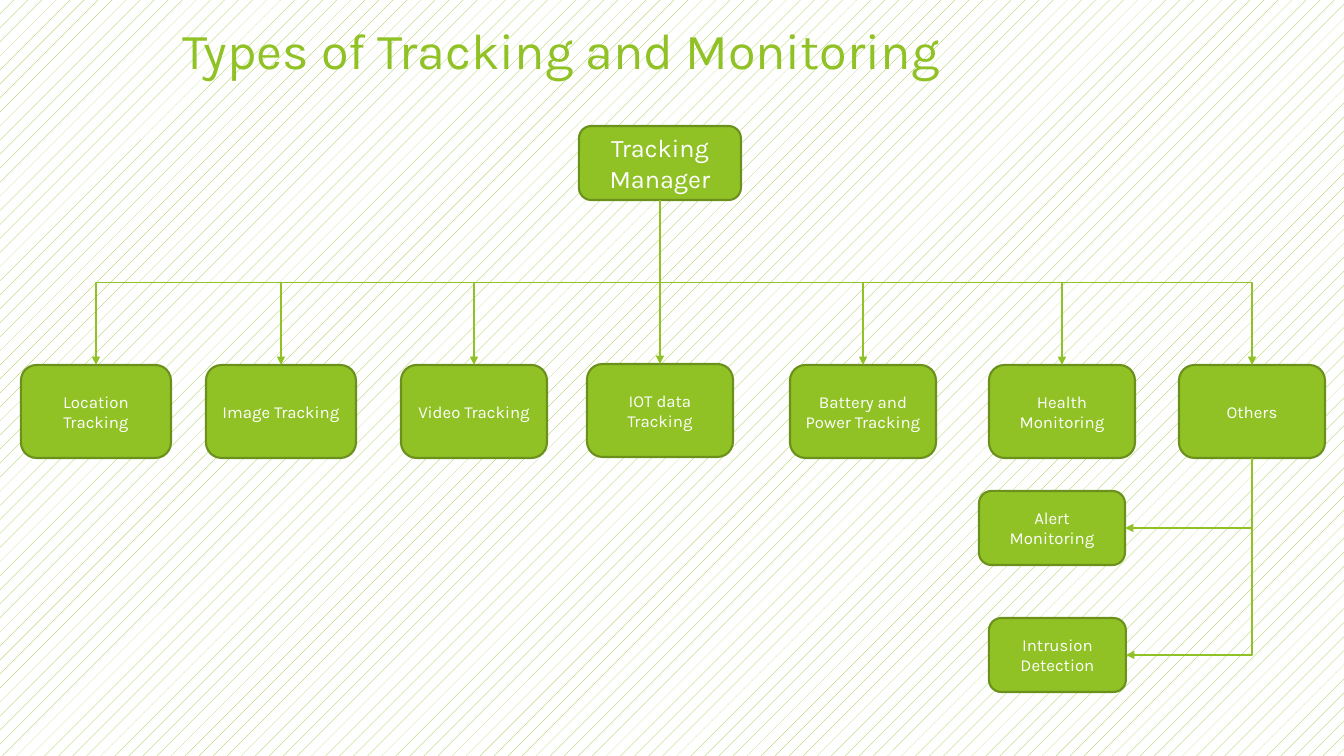
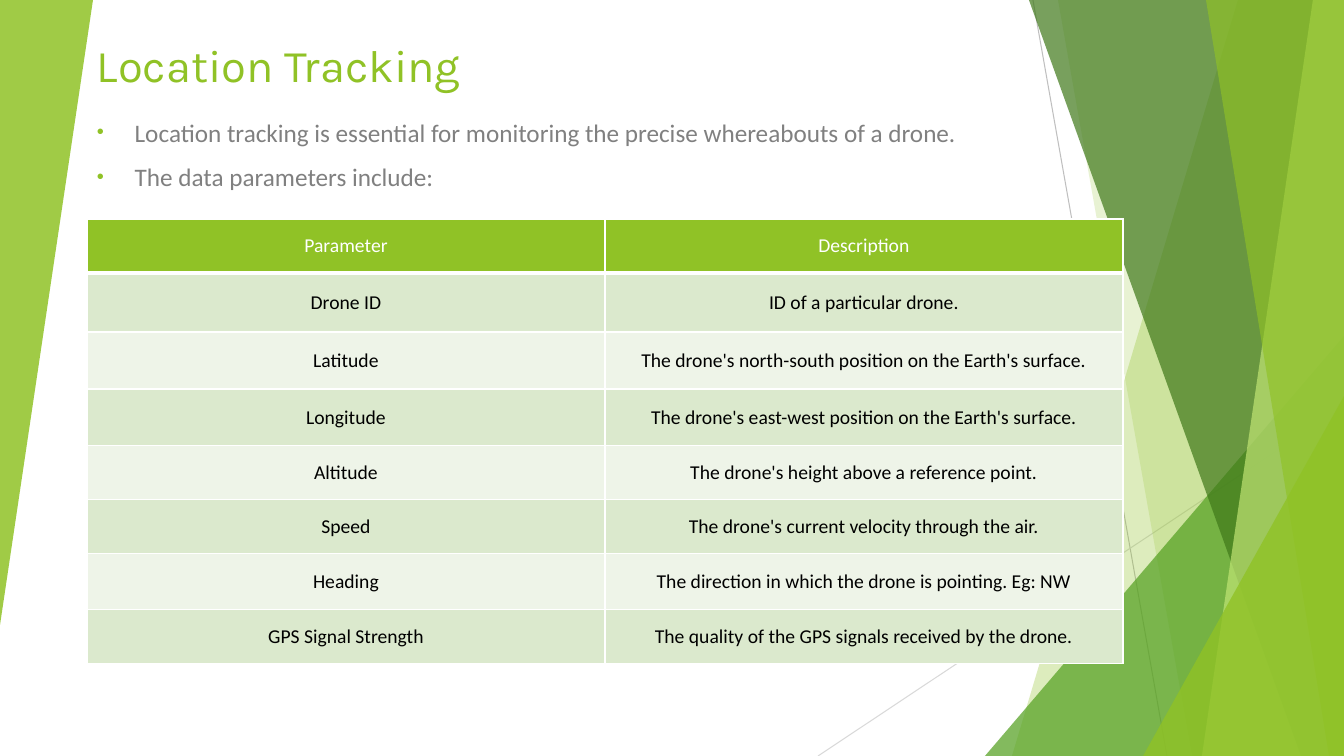
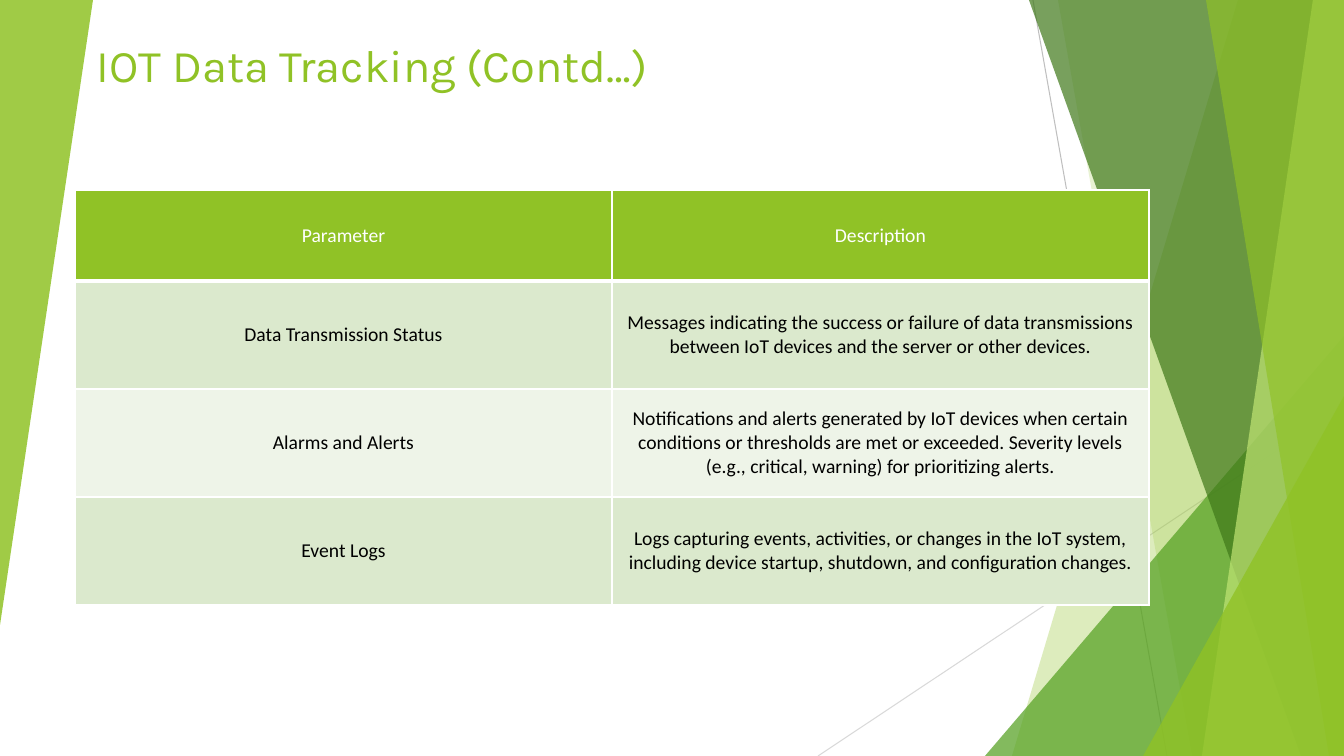
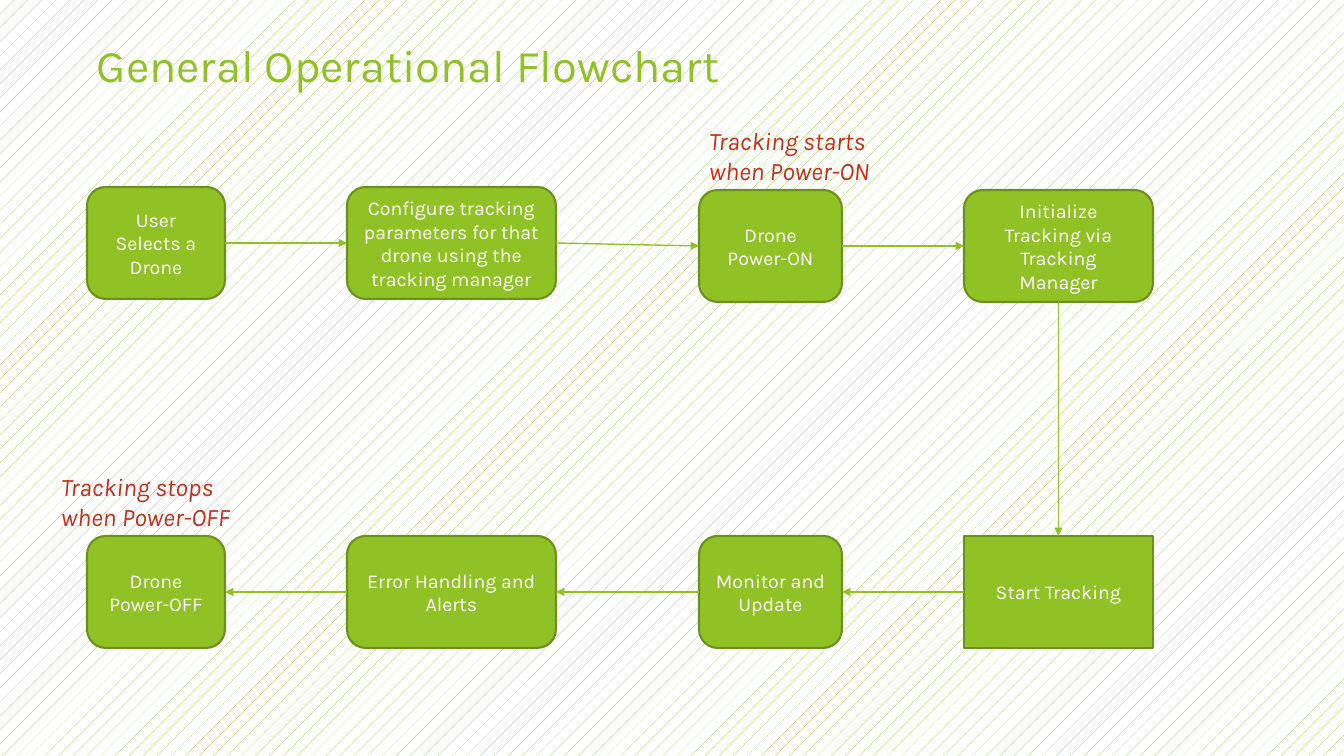
import dataclasses

import pptx
import pptx.dml.color
import pptx.enum.dml
import pptx.enum.shapes
import pptx.enum.text
import pptx.oxml
import pptx.oxml.ns
import pptx.util

SHAPE = pptx.enum.shapes.MSO_SHAPE
CONNECTOR = pptx.enum.shapes.MSO_CONNECTOR
ALIGN = pptx.enum.text.PP_ALIGN
ANCHOR = pptx.enum.text.MSO_ANCHOR
TOP, LEFT, BOTTOM, RIGHT = range(4)
WIDTH, HEIGHT = 1344, 756
qn = pptx.oxml.ns.qn


@dataclasses.dataclass(frozen=True)
class Theme:
    green: str = "90C226"
    edge: str = "6B901C"
    leaf: str = "54A021"
    forest: str = "3F7819"
    lime: str = "C0E474"
    white: str = "FFFFFF"
    black: str = "000000"
    grey: str = "808080"
    rule: str = "BFBFBF"
    faint_rule: str = "D9D9D9"
    red: str = "C42F1A"
    bands: tuple = ("DBE9CD", "EEF4E8")
    heading_font: str = "Karla"
    body_font: str = "Calibri"
    big_title: float = 36
    title: float = 32.4
    body: float = 18
    cell: float = 14
    small: float = 12


def px(n):
    return pptx.util.Emu(round(n * 12192000 / WIDTH))


def rgb(value):
    return pptx.dml.color.RGBColor.from_string(value)


def add_xml(parent, tag, **attrs):
    child = pptx.oxml.parse_xml(f"<a:{tag} {pptx.oxml.ns.nsdecls('a')}/>")
    for name, value in attrs.items():
        child.set(name, str(value))
    parent.append(child)
    return child


class Deck:
    def __init__(self, theme):
        self.theme = theme
        self.prs = pptx.Presentation()
        self.prs.slide_width, self.prs.slide_height = px(WIDTH), px(HEIGHT)
        self.s = None

    def slide(self):
        self.s = self.prs.slides.add_slide(self.prs.slide_layouts[6])

    def patterned_slide(self):
        self.slide()
        fill = self.s.background.fill
        fill.patterned()
        fill.pattern = pptx.enum.dml.MSO_PATTERN.PERCENT_5
        fill.fore_color.rgb = rgb(self.theme.green)
        fill.back_color.rgb = rgb(self.theme.white)

    def faceted_slide(self):
        t = self.theme
        self.slide()
        self.rule(1033, 0, 1167, HEIGHT, t.rule)
        self.rule(WIDTH, 406, 818, HEIGHT, t.faint_rule)
        self.facet(1238, 1012, t.green, 30)
        self.facet(1058, 1192, t.green, 20)
        self.triangle(985, 336, 359, 420, t.leaf, 72)
        self.facet(1029, 1301, t.forest, 70)
        self.facet(1313, 1202, t.lime, 70)
        self.facet(1206, 1329, t.green, 65)
        self.triangle(1143, 396, 201, 360, t.green, 80)
        self.triangle(0, 0, 93, 625, t.green, 85).rotation = 180

    def paint(self, sp, color, opacity=100):
        sp.shadow.inherit = False
        sp.fill.solid()
        sp.fill.fore_color.rgb = rgb(color)
        sp.line.fill.background()
        if opacity < 100:
            clr = sp._element.spPr.find(qn("a:solidFill"))[0]
            add_xml(clr, "alpha", val=opacity * 1000)

    def facet(self, top_x, bottom_x, color, opacity):
        builder = self.s.shapes.build_freeform(px(top_x), 0)
        corners = [(WIDTH, 0), (WIDTH, HEIGHT), (bottom_x, HEIGHT)]
        builder.add_line_segments([(px(x), px(y)) for x, y in corners])
        self.paint(builder.convert_to_shape(), color, opacity)

    def triangle(self, x, y, w, h, color, opacity):
        sp = self.s.shapes.add_shape(SHAPE.ISOSCELES_TRIANGLE, px(x), px(y), px(w), px(h))
        sp.adjustments[0] = 1
        self.paint(sp, color, opacity)
        return sp

    def style(self, p, size, color, font=None, align=ALIGN.LEFT, italic=False):
        p.alignment = align
        p.font.name = font or self.theme.heading_font
        p.font.size = pptx.util.Pt(size)
        p.font.color.rgb = rgb(color)
        p.font.bold = False
        p.font.italic = italic

    def text_frame(self, x, y, w, h, anchor=ANCHOR.TOP):
        tf = self.s.shapes.add_textbox(px(x), px(y), px(w), px(h)).text_frame
        tf.word_wrap = True
        tf.vertical_anchor = anchor
        return tf

    def title(self, text, x=87, y=30, h=67, size=None, align=ALIGN.LEFT):
        p = self.text_frame(x, y, 913, h, ANCHOR.BOTTOM).paragraphs[0]
        p.text = text
        self.style(p, size or self.theme.title, self.theme.green, align=align)

    def note(self, text, x, y, w):
        p = self.text_frame(x, y, w, 72).paragraphs[0]
        p.text = text
        self.style(p, self.theme.body, self.theme.red, italic=True)

    def bullets(self, items, x, y, w, h):
        tf = self.text_frame(x, y, w, h)
        for i, item in enumerate(items):
            p = tf.add_paragraph() if i else tf.paragraphs[0]
            p.text = item
            p.space_before = pptx.util.Pt(10)
            pPr = p._p.get_or_add_pPr()
            pPr.set("marL", "342900")
            pPr.set("indent", "-342900")
            add_xml(add_xml(pPr, "buClr"), "srgbClr", val=self.theme.green)
            add_xml(pPr, "buSzPct", val=80000)
            add_xml(pPr, "buFont", typeface="Arial")
            add_xml(pPr, "buChar", char="•")
            self.style(p, self.theme.body, self.theme.grey, self.theme.body_font)

    def box(self, text, x, y, w, h, size, shape=SHAPE.ROUNDED_RECTANGLE):
        sp = self.s.shapes.add_shape(shape, px(x), px(y), px(w), px(h))
        self.paint(sp, self.theme.green)
        sp.line.color.rgb = rgb(self.theme.edge)
        sp.line.width = pptx.util.Pt(1.5)
        tf = sp.text_frame
        tf.word_wrap = True
        tf.vertical_anchor = ANCHOR.MIDDLE
        p = tf.paragraphs[0]
        p.text = text
        self.style(p, size, self.theme.white, align=ALIGN.CENTER)
        return sp

    def line(self, kind, color, width, ends=(0, 0, 0, 0)):
        c = self.s.shapes.add_connector(kind, *map(px, ends))
        c.line.color.rgb = rgb(color)
        c.line.width = pptx.util.Pt(width)
        add_xml(c._element.spPr, "effectLst")
        return c

    def rule(self, x1, y1, x2, y2, color):
        self.line(CONNECTOR.STRAIGHT, color, 0.75, (x1, y1, x2, y2))

    def arrow(self, start, start_side, end, end_side, kind=CONNECTOR.STRAIGHT):
        c = self.line(kind, self.theme.green, 1)
        c.begin_connect(start, start_side)
        c.end_connect(end, end_side)
        add_xml(c.line._get_or_add_ln(), "tailEnd", type="triangle")
        return c

    def elbow(self, start, end, end_side):
        c = self.arrow(start, BOTTOM, end, end_side, CONNECTOR.ELBOW)
        dx, dy = c.end_x - c.begin_x, c.end_y - c.begin_y
        mid_x, mid_y = c.begin_x + dx // 2, c.begin_y + dy // 2
        c.left, c.top = mid_x - dy // 2, mid_y - abs(dx) // 2
        c.width, c.height = dy, abs(dx)
        spPr = c._element.spPr
        xfrm = spPr.find(qn("a:xfrm"))
        xfrm.set("rot", "16200000" if dx > 0 else "5400000")
        xfrm.set("flipH", "1" if dx > 0 else "0")
        xfrm.set("flipV", "0")
        if end_side == RIGHT:
            spPr.find(qn("a:prstGeom")).set("prst", "bentConnector2")

    def table(self, rows, x, y, col_width, heights):
        t = self.theme
        cols = len(rows[0])
        frame = self.s.shapes.add_table(
            len(rows), cols, px(x), px(y), px(col_width * cols), px(sum(heights)))
        table = frame.table
        for col in table.columns:
            col.width = px(col_width)
        for i, (values, height) in enumerate(zip(rows, heights)):
            table.rows[i].height = px(height)
            fill = t.bands[(i - 1) % 2] if i else t.green
            color = t.black if i else t.white
            widths = {"lnL": 1, "lnR": 1, "lnT": 3 if i == 1 else 1, "lnB": 1 if i else 3}
            for cell, value in zip(table.rows[i].cells, values):
                cell.vertical_anchor = ANCHOR.MIDDLE
                p = cell.text_frame.paragraphs[0]
                p.text = value
                self.style(p, t.cell, color, t.body_font, ALIGN.CENTER)
                tcPr = cell._tc.get_or_add_tcPr()
                for side, width in widths.items():
                    ln = add_xml(tcPr, side, w=pptx.util.Pt(width))
                    add_xml(add_xml(ln, "solidFill"), "srgbClr", val=t.white)
                cell.fill.solid()
                cell.fill.fore_color.rgb = rgb(fill)


def tracking_types(d):
    d.patterned_slide()
    d.title("Types of Tracking and Monitoring", 37, 11, 74, d.theme.big_title, ALIGN.RIGHT)
    manager = d.box("Tracking Manager", 579, 126, 162, 74, d.theme.body)
    kinds = [
        ("Location Tracking", 21, 365, 150),
        ("Image Tracking", 206, 365, 150),
        ("Video Tracking", 401, 365, 146),
        ("IOT data Tracking", 587, 364, 146),
        ("Battery and Power Tracking", 790, 365, 146),
        ("Health Monitoring", 989, 365, 146),
        ("Others", 1179, 365, 146),
    ]
    boxes = [d.box(text, x, y, w, 93, d.theme.small) for text, x, y, w in kinds]
    alert = d.box("Alert Monitoring", 979, 491, 146, 74, d.theme.small)
    intrusion = d.box("Intrusion Detection", 989, 618, 137, 74, d.theme.small)
    for sp in boxes:
        if sp is boxes[3]:
            d.arrow(manager, BOTTOM, sp, TOP)
        else:
            d.elbow(manager, sp, TOP)
    for sp in (alert, intrusion):
        d.elbow(boxes[-1], sp, RIGHT)


def location_tracking(d):
    d.faceted_slide()
    d.title("Location Tracking")
    d.bullets([
        "Location tracking is essential for monitoring the precise whereabouts of a drone.",
        "The data parameters include:",
    ], 87, 112, 913, 100)
    d.table([
        ("Parameter", "Description"),
        ("Drone ID", "ID of a particular drone."),
        ("Latitude", "The drone's north-south position on the Earth's surface."),
        ("Longitude", "The drone's east-west position on the Earth's surface."),
        ("Altitude", "The drone's height above a reference point."),
        ("Speed", "The drone's current velocity through the air."),
        ("Heading", "The direction in which the drone is pointing. Eg: NW"),
        ("GPS Signal Strength", "The quality of the GPS signals received by the drone."),
    ], 87, 219, 518, [54, 59, 57, 57, 54, 54, 56, 54])


def iot_tracking(d):
    d.faceted_slide()
    d.title("IOT Data Tracking (Contd…)")
    d.table([
        ("Parameter", "Description"),
        ("Data Transmission Status",
         "Messages indicating the success or failure of data transmissions "
         "between IoT devices and the server or other devices."),
        ("Alarms and Alerts",
         "Notifications and alerts generated by IoT devices when certain "
         "conditions or thresholds are met or exceeded. Severity levels "
         "(e.g., critical, warning) for prioritizing alerts."),
        ("Event Logs",
         "Logs capturing events, activities, or changes in the IoT system, "
         "including device startup, shutdown, and configuration changes."),
    ], 75, 190, 537, [91, 108, 108, 108])


def flowchart(d):
    d.patterned_slide()
    d.title("General Operational Flowchart")
    columns = [(87, 138), (347, 209), (699, 143), (964, 189)]
    before = [
        ("User Selects a Drone", 187),
        ("Configure tracking parameters for that drone using the tracking manager", 187),
        ("Drone Power-ON", 190),
        ("Initialize Tracking via Tracking Manager", 190),
    ]
    after = [
        ("Drone Power-OFF", SHAPE.ROUNDED_RECTANGLE),
        ("Error Handling and Alerts", SHAPE.ROUNDED_RECTANGLE),
        ("Monitor and Update", SHAPE.ROUNDED_RECTANGLE),
        ("Start Tracking", SHAPE.RECTANGLE),
    ]
    upper = [d.box(text, x, y, w, 112, d.theme.cell)
             for (text, y), (x, w) in zip(before, columns)]
    lower = [d.box(text, x, 536, w, 112, d.theme.cell, shape)
             for (text, shape), (x, w) in zip(after, columns)]
    for start, end in zip(upper, upper[1:]):
        d.arrow(start, RIGHT, end, LEFT)
    d.arrow(upper[-1], BOTTOM, lower[-1], TOP)
    for end, start in zip(lower, lower[1:]):
        d.arrow(start, LEFT, end, RIGHT)
    d.note("Tracking starts when Power-ON", 699, 120, 209)
    d.note("Tracking stops when Power-OFF", 51, 466, 216)


def main():
    d = Deck(Theme())
    for build in (tracking_types, location_tracking, iot_tracking, flowchart):
        build(d)
    d.prs.save("out.pptx")


if __name__ == "__main__":
    main()
